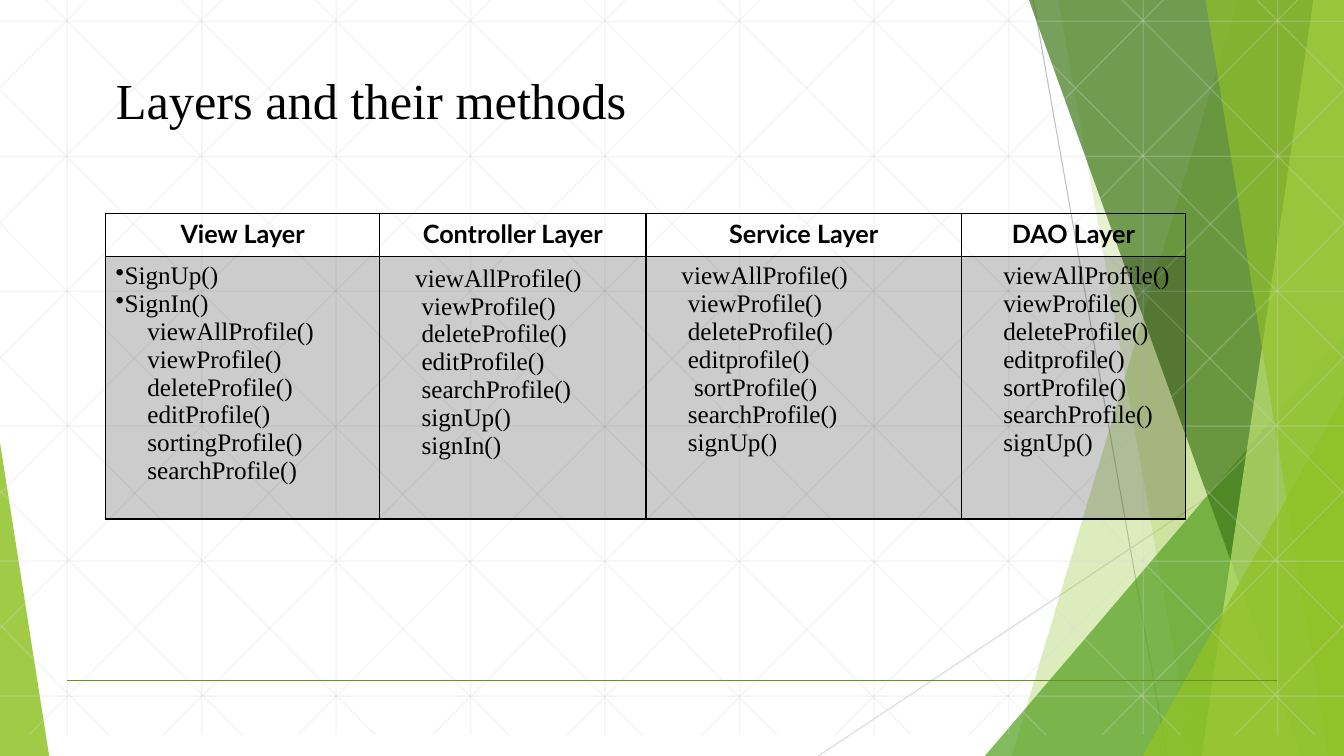
import pptx
import pptx.util
import pptx.dml.color
import pptx.enum.shapes
import pptx.enum.text
import pptx.oxml
import pptx.oxml.ns
import lxml.etree

Cm, Pt = pptx.util.Cm, pptx.util.Pt
qn = pptx.oxml.ns.qn
WIDE, HIGH = 33.87, 19.05

deck = pptx.Presentation()
deck.slide_width, deck.slide_height = Cm(WIDE), Cm(HIGH)
slide = deck.slides.add_slide(deck.slide_layouts[6])
shapes = slide.shapes


def tint(fill, node, color, alpha=100):
    fill.solid()
    fill.fore_color.rgb = pptx.dml.color.RGBColor.from_string(color)
    if alpha < 100:
        tone = next(node.iter(qn("a:srgbClr")))
        lxml.etree.SubElement(tone, qn("a:alpha")).set("val", str(alpha * 1000))


def rule(x1, y1, x2, y2, color="D9D9D9", width=1, alpha=25):
    line = shapes.add_connector(pptx.enum.shapes.MSO_CONNECTOR.STRAIGHT,
                                Cm(x1), Cm(y1), Cm(x2), Cm(y2))
    line.line.width = Pt(width)
    tint(line.line.fill, line.element, color, alpha)
    lxml.etree.SubElement(line.element.spPr, qn("a:effectLst"))


# Thin lines behind the green facets
rule(26.04, 0, 29.41, HIGH, "BFBFBF", 0.75, 100)
rule(WIDE, 10.24, 20.62, HIGH, "D9D9D9", 0.75, 100)

# Green facets: bands by top and bottom x, triangles by left, top, width, tip
facets = [
    ("band", (31.19, 25.5), "90C226", 30),
    ("band", (26.67, 30.05), "90C226", 20),
    ("peak", (24.82, 8.46, 9.05, 1), "54A021", 72),
    ("band", (25.93, 32.79), "3F7819", 70),
    ("band", (33.1, 30.28), "C0E474", 70),
    ("band", (30.38, 33.48), "90C226", 65),
    ("peak", (28.8, 9.98, 5.07, 1), "90C226", 80),
    ("peak", (0, 11.15, 1.24, 0), "90C226", 85),
]
for kind, size, color, alpha in facets:
    if kind == "band":
        top, foot = size
        form = shapes.build_freeform(Cm(top), 0)
        form.add_line_segments([(Cm(WIDE), 0), (Cm(WIDE), Cm(HIGH)),
                                (Cm(foot), Cm(HIGH))])
        facet = form.convert_to_shape()
    else:
        left, top, width, tip = size
        facet = shapes.add_shape(
            pptx.enum.shapes.MSO_SHAPE.ISOSCELES_TRIANGLE,
            Cm(left), Cm(top), Cm(width), Cm(HIGH - top))
        facet.adjustments[0] = tip
    facet.shadow.inherit = False
    facet.line.fill.background()
    tint(facet.fill, facet.element, color, alpha)

# Faint grid: upright, level and slanted lines
UP, DOWN, STEP, RUN = -0.53, 18.52, 3.39, 18.94
for i in range(10):
    x = 1.69 + i * STEP
    rule(x, UP, x, DOWN)
for i in range(6):
    y = 0.54 + i * 3.4
    rule(0, y, WIDE, y)
for flip in (False, True):
    slants = []
    for i in range(10):
        x = 0.64 + i * STEP
        end = min(x + RUN, WIDE)
        slants.append((x, UP, end, UP + (end - x) * (DOWN - UP) / RUN))
    for i in range(5):
        slants.append((16.18 - i * 3.36, DOWN, 0, 2.26 + i * 3.37))
    for x1, y1, x2, y2 in slants:
        if flip:
            x1, x2 = WIDE - x1, WIDE - x2
        rule(x1, y1, x2, y2)

# Footer line
rule(1.69, 17.14, 32.18, 17.14, "6C921D", 1, 100)

# Title
title = shapes.add_textbox(Cm(2.67), Cm(1.47), Cm(26.67), Cm(2.49))
title.text_frame.word_wrap = True
title.text_frame.margin_top = Cm(0.28)
run = title.text_frame.paragraphs[0].add_run()
run.text = "Layers and their methods"
run.font.size = Pt(36)
run.font.name = "Times New Roman"
tint(run.font.fill, run.font._element, "000000")

# Table: heading, column width, top margin, then (indent steps, method)
layers = [
    ("View Layer", 6.91, 0.13, [
        (0, "SignUp()"), (0, "SignIn()"), (5, "viewAllProfile()"),
        (5, "viewProfile()"), (5, "deleteProfile()"), (5, "editProfile()"),
        (5, "sortingProfile()"), (5, "searchProfile()")]),
    ("Controller Layer", 6.71, 0.2, [
        (4, "viewAllProfile()"), (5, "viewProfile()"), (5, "deleteProfile()"),
        (5, "editProfile()"), (5, "searchProfile()"), (5, "signUp()"),
        (5, "signIn()")]),
    ("Service Layer", 7.95, 0.13, [
        (4, "viewAllProfile()"), (5, "viewProfile()"), (5, "deleteProfile()"),
        (5, "editprofile()"), (6, "sortProfile()"), (5, "searchProfile()"),
        (5, "signUp()")]),
    ("DAO Layer", 5.64, 0.13, [
        (5, "viewAllProfile()"), (5, "viewProfile()"), (5, "deleteProfile()"),
        (5, "editprofile()"), (5, "sortProfile()"), (5, "searchProfile()"),
        (5, "signUp()")]),
]
table = shapes.add_table(2, 4, Cm(2.66), Cm(5.38), Cm(27.21), Cm(7.7)).table
table.first_row = table.horz_banding = False
table.rows[0].height, table.rows[1].height = Cm(1.09), Cm(6.61)
for col, (head, width, margin, names) in enumerate(layers):
    table.columns[col].width = Cm(width)
    for row, items in enumerate([[(0, head)], names]):
        cell = table.cell(row, col)
        if row:
            tint(cell.fill, cell._tc, "000000", 20)
            cell.margin_top = Cm(margin)
        else:
            cell.fill.background()
        for i, side in enumerate(("lnL", "lnR", "lnT", "lnB")):
            edge = pptx.oxml.parse_xml(
                f'<a:{side} {pptx.oxml.ns.nsdecls("a")} w="12700"><a:solidFill>'
                f'<a:srgbClr val="000000"/></a:solidFill></a:{side}>')
            cell._tc.tcPr.insert(i, edge)
        for i, (step, name) in enumerate(items):
            frame = cell.text_frame
            para = frame.add_paragraph() if i else frame.paragraphs[0]
            props = para._p.get_or_add_pPr()
            props.set("marL", str(Cm(0.16 * step)))
            props.set("indent", "0")
            if not row:
                para.alignment = pptx.enum.text.PP_ALIGN.CENTER
            elif not step:
                lxml.etree.SubElement(props, qn("a:buSzPct")).set("val", "99000")
                lxml.etree.SubElement(props, qn("a:buChar")).set("char", "•")
            run = para.add_run()
            run.text = name
            run.font.size = Pt(18)
            run.font.bold = not row
            run.font.name = "Times New Roman" if row else "Lato"
            tint(run.font.fill, run.font._element, "000000")

deck.save("out.pptx")
